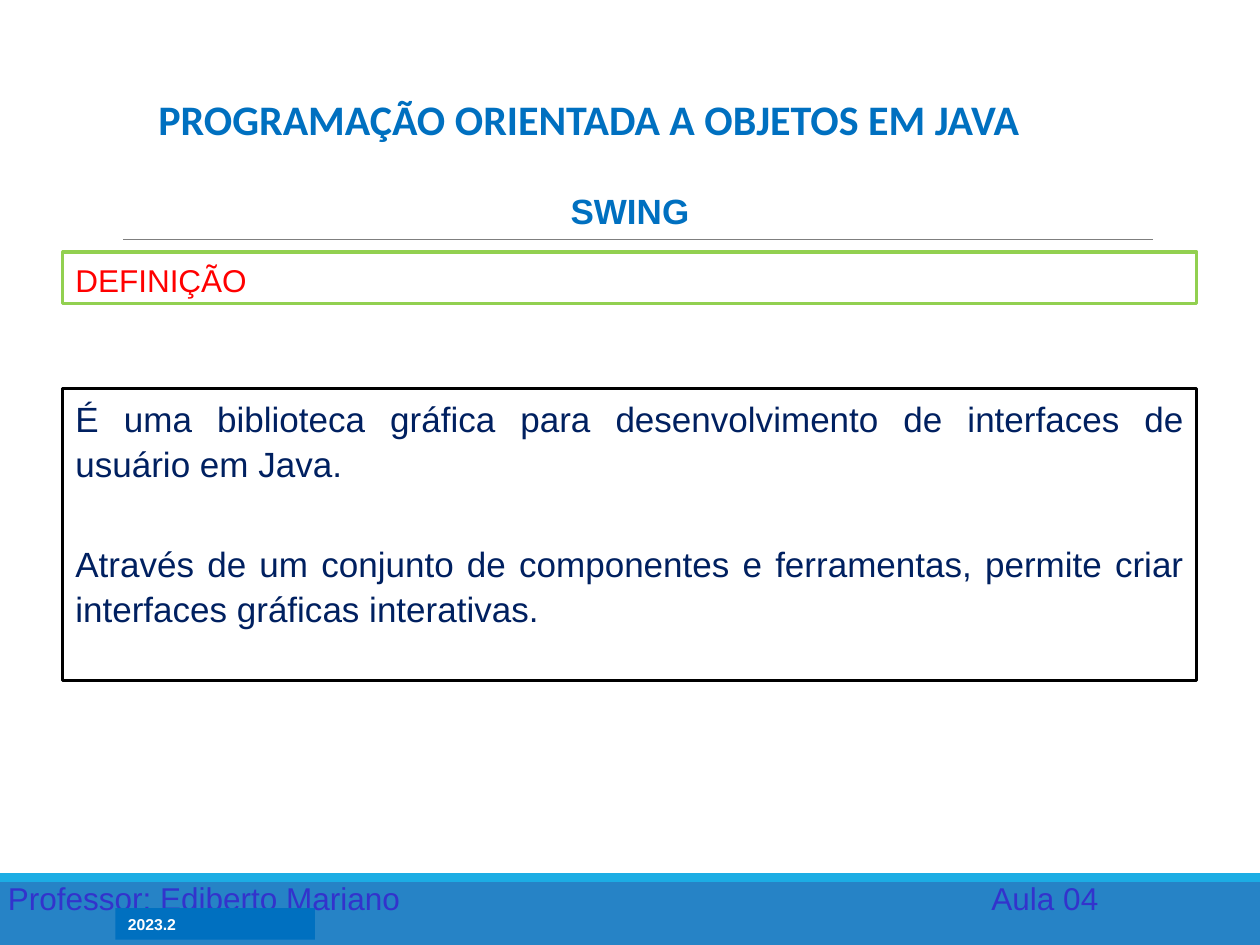
from pptx import Presentation
from pptx.util import Pt
from pptx.dml.color import RGBColor as Rgb
from pptx.enum.shapes import MSO_CONNECTOR as Conn, MSO_SHAPE as Kind
from pptx.enum.text import MSO_ANCHOR as Anchor, PP_ALIGN as Align
from pptx.oxml.ns import qn
from lxml.etree import SubElement as Sub

HUES = {
    "band": "2683C6", "strip": "1CADE4", "rule": "7F7F7F", "blue": "0070C0",
    "green": "92D050", "black": "000000", "red": "FF0000", "navy": "002060",
    "violet": "3333CC", "white": "FFFFFF",
}


def hue(name):
    return Rgb.from_string(HUES[name])


def add_rect(slide, area, fill=None, edge=None):
    rect = slide.shapes.add_shape(Kind.RECTANGLE, *map(Pt, area))
    rect.shadow.inherit = False
    if fill:
        rect.fill.solid()
        rect.fill.fore_color.rgb = hue(fill)
    else:
        rect.fill.background()
    if edge:
        rect.line.color.rgb = hue(edge)
        rect.line.width = Pt(1.75)
    else:
        rect.line.fill.background()
    return rect


def add_box(slide, area):
    return slide.shapes.add_textbox(*map(Pt, area))


def add_rule(slide, left, right, top):
    rule = slide.shapes.add_connector(
        Conn.STRAIGHT, Pt(left), Pt(top), Pt(right), Pt(top))
    rule.line.color.rgb = hue("rule")
    rule.line.width = Pt(0.5)
    Sub(rule._element.spPr, qn("a:effectLst"))


def write(shape, texts, size, color, bold=False, face="Arial",
          align=Align.LEFT, anchor=Anchor.TOP, lead=1.0, gap=0, tab=None):
    frame = shape.text_frame
    frame.word_wrap = True
    frame.vertical_anchor = anchor
    for i, text in enumerate(texts):
        para = frame.add_paragraph() if i else frame.paragraphs[0]
        para.alignment = align
        para.line_spacing = lead
        para.space_before = Pt(gap if i else 0)
        if tab:
            tabs = Sub(para._p.get_or_add_pPr(), qn("a:tabLst"))
            Sub(tabs, qn("a:tab"), pos=str(Pt(tab)), algn="l")
        run = para.add_run()
        run.text = text
        font = run.font
        font.name, font.size, font.bold = face, Pt(size), bold
        font.color.rgb = hue(color)


def add_foot(slide):
    add_rect(slide, (0, 499, 720, 41), "band")
    add_rect(slide, (0, 499, 720, 5), "strip")
    write(add_box(slide, (-2.5, 498.5, 648, 29)),
          ["Professor: Ediberto Mariano\tAula 04"], 18, "violet", tab=562)
    term = add_rect(slide, (66, 519, 114, 18), "blue")
    write(term, ["2023.2"], 9, "white", bold=True)


def add_head(slide):
    add_rule(slide, 70.5, 659, 137)
    write(add_box(slide, (74, 48, 525, 37.5)),
          ["PROGRAMAÇÃO ORIENTADA A OBJETOS EM JAVA"], 24, "blue",
          bold=True, face="Calibri", align=Align.CENTER, anchor=Anchor.BOTTOM)
    write(add_box(slide, (48, 103, 624, 32)), ["SWING"], 20, "blue",
          bold=True, align=Align.CENTER, lead=1.07)


def add_body(slide):
    label = add_rect(slide, (36, 144, 648, 29.5), edge="green")
    write(label, ["DEFINIÇÃO"], 18, "red", lead=1.07)
    panel = add_rect(slide, (36, 222, 648, 167), edge="black")
    write(panel, [
        "É uma biblioteca gráfica para desenvolvimento de interfaces de "
        "usuário em Java.",
        "Através de um conjunto de componentes e ferramentas, permite criar "
        "interfaces gráficas interativas.",
    ], 20, "navy", align=Align.JUSTIFY, lead=1.07, gap=31.5)


def main():
    deck = Presentation()
    deck.slide_width, deck.slide_height = Pt(720), Pt(540)
    slide = deck.slides.add_slide(deck.slide_layouts[6])
    add_foot(slide)
    add_head(slide)
    add_body(slide)
    deck.save("out.pptx")


if __name__ == "__main__":
    main()
